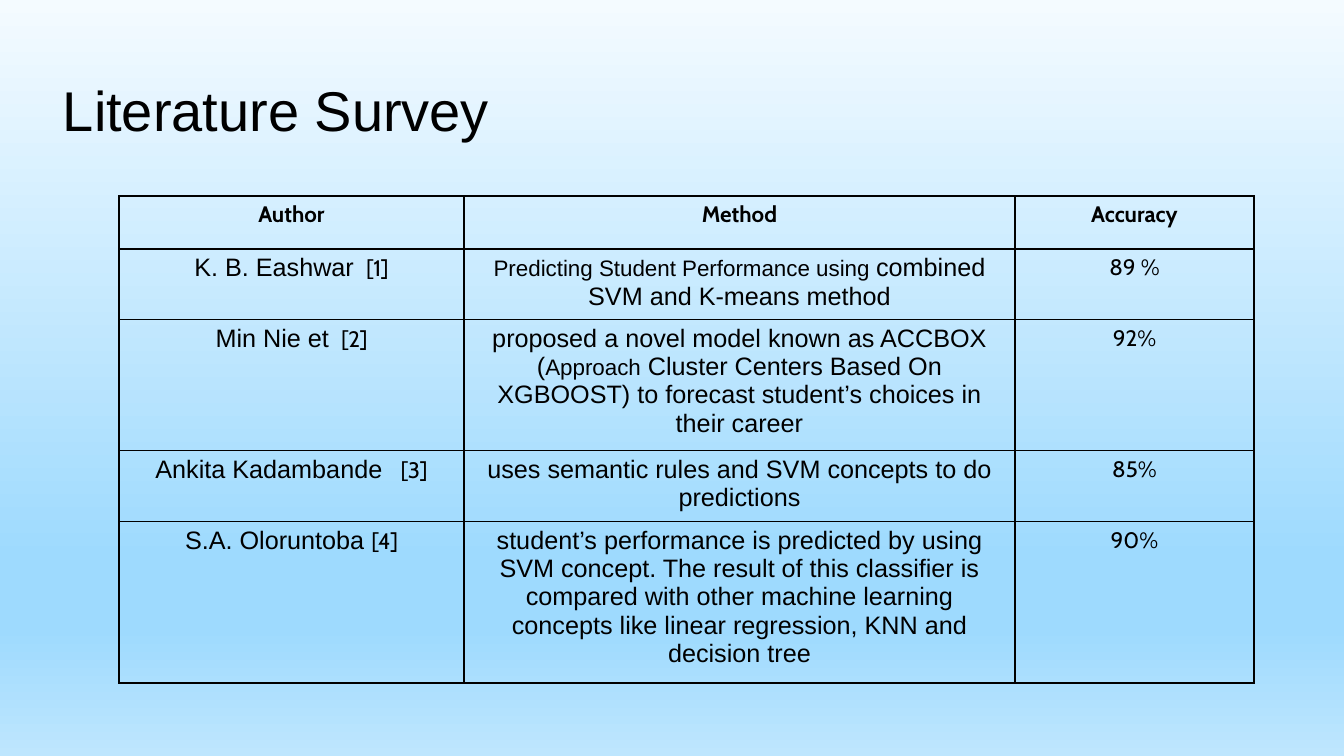
import copy

import pptx
import pptx.dml.color
import pptx.enum.text
import pptx.oxml
import pptx.oxml.ns
import pptx.util

PX = 914400 / 100.8
INK = {"text": "000000", "line": "000000"}
SKY = {0: "F4FBFF", 74: "9EDAFE", 83: "9EDAFE", 100: "BEE6FE"}
FORMS = {
    "title": {"name": "Arial", "size": 40, "bold": False},
    "head": {"name": "Cabin", "size": 16, "bold": True},
    "body": {"name": "Arial", "size": 18, "bold": False},
    "small": {"name": "Arial", "size": 16, "bold": False},
    "note": {"name": "Cabin", "size": 16, "bold": False},
}
COLS = [345, 551, 239]
ROWS = [53, 70, 131, 71, 161]
HEADS = ["Author", "Method", "Accuracy"]
WORKS = [
    (
        [("K. B. Eashwar ", "body"), (" [1]", "note")],
        [("Predicting Student Performance using ", "small"),
         ("combined SVM and K-means method", "body")],
        "89 %",
    ),
    (
        [("Min Nie et ", "body"), (" [2]", "note")],
        [("proposed a novel model known as ACCBOX (", "body"),
         ("Approach", "small"),
         (" Cluster Centers Based On XGBOOST) to forecast student’s "
          "choices in their career", "body")],
        "92%",
    ),
    (
        [("Ankita Kadambande ", "body"), (" ", "small"), (" [3]", "note")],
        [("uses semantic rules and SVM concepts to do predictions", "body")],
        "85%",
    ),
    (
        [("S.A. Oloruntoba ", "body"), ("[4]", "note")],
        [("student’s performance is predicted by using SVM concept. "
          "The result of this classifier is compared with other machine "
          "learning concepts like linear regression, KNN and decision tree",
          "body")],
        "90%",
    ),
]


def px(count):
    return pptx.util.Emu(round(count * PX))


def write(para, runs):
    """Add (text, form) runs to a paragraph."""
    for text, form in runs:
        run = para.add_run()
        run.text = text
        for key, value in FORMS[form].items():
            setattr(run.font, key,
                    pptx.util.Pt(value) if key == "size" else value)
        run.font.color.rgb = pptx.dml.color.RGBColor.from_string(INK["text"])


def paint(slide):
    """Fill the background with the sky gradient."""
    fill = slide.background.fill
    fill.gradient()
    fill.gradient_angle = 270
    stops = slide.element.xpath(".//p:bg//a:gsLst")[0]
    while len(stops) < len(SKY):
        stops.append(copy.deepcopy(stops[0]))
    for stop, (place, tint) in zip(fill.gradient_stops, SKY.items()):
        stop.position = place / 100
        stop.color.rgb = pptx.dml.color.RGBColor.from_string(tint)


def title(slide, box):
    frame = slide.shapes.add_textbox(*map(px, box)).text_frame
    frame.word_wrap = True
    write(frame.paragraphs[0], [("Literature Survey", "title")])


def edge(cell):
    """Draw a thin line on all four sides of a cell."""
    props = cell._tc.get_or_add_tcPr()
    for spot, side in enumerate("LRTB"):
        props.insert(spot, pptx.oxml.parse_xml(
            f'<a:ln{side} {pptx.oxml.ns.nsdecls("a")} w="12700"><a:solidFill>'
            f'<a:srgbClr val="{INK["line"]}"/></a:solidFill></a:ln{side}>'))


def survey(slide, left, top):
    box = map(px, (left, top, sum(COLS), sum(ROWS)))
    table = slide.shapes.add_table(len(ROWS), len(COLS), *box).table
    table.first_row = table.horz_banding = False
    for col, width in zip(table.columns, COLS):
        col.width = px(width)
    for row, height in zip(table.rows, ROWS):
        row.height = px(height)
    lines = [[[(head, "head")] for head in HEADS]]
    lines += [[who, how, [(rate, "note")]] for who, how, rate in WORKS]
    for row, line in zip(table.rows, lines):
        for cell, runs in zip(row.cells, line):
            cell.fill.background()
            edge(cell)
            para = cell.text_frame.paragraphs[0]
            para.alignment = pptx.enum.text.PP_ALIGN.CENTER
            write(para, runs)


def main():
    deck = pptx.Presentation()
    deck.slide_width, deck.slide_height = px(1344), px(756)
    slide = deck.slides.add_slide(deck.slide_layouts[6])
    paint(slide)
    title(slide, (53, 71, 938, 78))
    survey(slide, 119, 196)
    deck.save("out.pptx")


if __name__ == "__main__":
    main()
